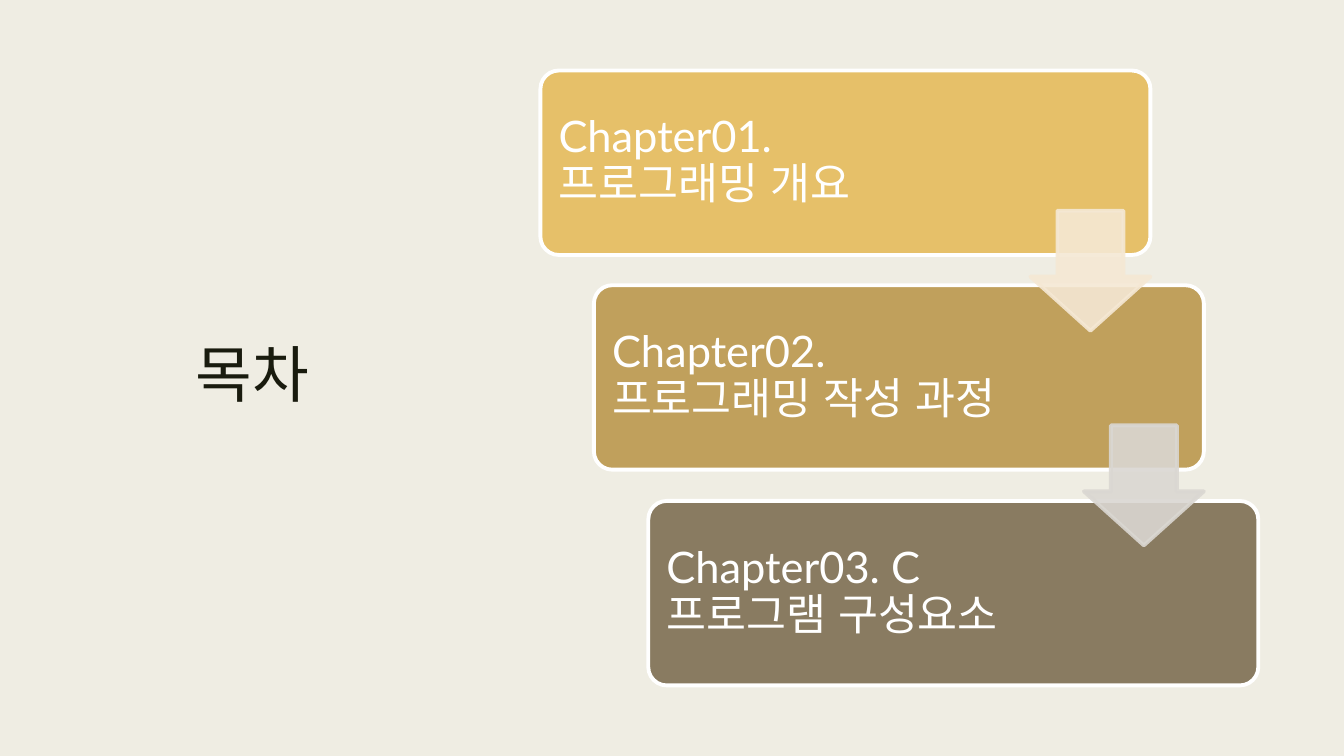
from dataclasses import dataclass

from lxml import etree
from pptx import Presentation
from pptx.dml.color import RGBColor
from pptx.enum.lang import MSO_LANGUAGE_ID
from pptx.enum.shapes import MSO_SHAPE
from pptx.enum.text import MSO_ANCHOR, PP_ALIGN
from pptx.oxml.ns import qn
from pptx.util import Pt

CARD = MSO_SHAPE.ROUNDED_RECTANGLE
ARROW = MSO_SHAPE.DOWN_ARROW
MIDDLE = MSO_ANCHOR.MIDDLE
LEFT, CENTER = PP_ALIGN.LEFT, PP_ALIGN.CENTER
KOREAN = MSO_LANGUAGE_ID.KOREAN
EMU_PER_PX = 9144
BLANK_LAYOUT = 6


@dataclass(frozen=True)
class Theme:
    """Colours, type sizes and font of the slide."""

    font: str = "Lato"
    background: str = "EFEDE3"
    ink: str = "191B0E"
    white: str = "FFFFFF"
    cards: tuple = ("E6C069", "C0A05C", "897B61")
    arrows: tuple = ("F5E8D4", "DAD7D2")
    title_size: int = 44
    chapter_size: int = 31
    outline: float = 2.75
    arrow_opacity: int = 90


def px(length):
    """Turn whole pixels into EMU."""
    return length * EMU_PER_PX


def set_opacity(fill, percent):
    """Make a solid fill partly transparent."""
    colour = fill._xPr.find(qn("a:solidFill"))[0]
    etree.SubElement(colour, qn("a:alpha")).set("val", str(percent * 1000))


def write_text(frame, text, *, font, size, colour, align=LEFT, spacing=0.9):
    """Put one formatted paragraph into a text frame."""
    paragraph = frame.paragraphs[0]
    paragraph.alignment = align
    paragraph.line_spacing = spacing
    run = paragraph.add_run()
    run.text = text
    run.font.name = font
    run.font.size = Pt(size)
    run.font.color.rgb = RGBColor.from_string(colour)
    run.font.language_id = KOREAN


class SlideBuilder:
    """Draws styled elements on the current slide."""

    def __init__(self, slide, theme):
        """Keep the slide and theme, and paint the background."""
        self.slide = slide
        self.theme = theme
        fill = slide.background.fill
        fill.solid()
        fill.fore_color.rgb = RGBColor.from_string(theme.background)

    def text(self, box, text, inset_x, inset_y, **text_format):
        """Add a wrapped, vertically centred text box."""
        shape = self.slide.shapes.add_textbox(*map(px, box))
        frame = shape.text_frame
        frame.word_wrap = True
        frame.vertical_anchor = MIDDLE
        frame.margin_left = frame.margin_right = px(inset_x)
        frame.margin_top = frame.margin_bottom = px(inset_y)
        write_text(frame, text, font=self.theme.font, **text_format)

    def shape(self, kind, box, adjustments, fill, line, opacity=100):
        """Add an outlined preset shape."""
        shape = self.slide.shapes.add_shape(kind, *map(px, box))
        shape.shadow.inherit = False
        for index, value in enumerate(adjustments):
            shape.adjustments[index] = value
        shape.line.width = Pt(self.theme.outline)
        for paint, colour in ((shape.fill, fill), (shape.line.fill, line)):
            paint.solid()
            paint.fore_color.rgb = RGBColor.from_string(colour)
            if opacity < 100:
                set_opacity(paint, opacity)

    def title(self, text):
        """Add the slide title."""
        self.text((70, 70, 361, 610), text, 10, 5, size=self.theme.title_size,
                  colour=self.theme.ink, align=CENTER, spacing=0.89)

    def card(self, left, top, text, text_width, fill):
        """Add a chapter card with its caption."""
        theme = self.theme
        self.shape(CARD, (left, top, 605, 183), (0.1,), fill, theme.white)
        self.text((left + 5, top + 5, text_width, 172), text, 13, 13,
                  size=theme.chapter_size, colour=theme.white)

    def arrow(self, left, top, colour):
        """Add a translucent arrow at the lower right of a card."""
        self.shape(ARROW, (left + 486, top + 139, 119, 119), (0.55, 0.45),
                   colour, colour, self.theme.arrow_opacity)


def main():
    """Build and save the contents slide."""
    theme = Theme()
    presentation = Presentation()
    presentation.slide_width, presentation.slide_height = px(1333), px(750)
    layout = presentation.slide_layouts[BLANK_LAYOUT]
    builder = SlideBuilder(presentation.slides.add_slide(layout), theme)

    builder.title("목차")
    chapters = (
        ("Chapter01. 프로그래밍 개요", 407),
        ("Chapter02. 프로그래밍 작성 과정", 422),
        ("Chapter03. C프로그램 구성요소", 422),
    )
    steps = [(536 + 107 * index // 2, 70 + 427 * index // 2)
             for index in range(len(chapters))]
    for step, chapter, colour in zip(steps, chapters, theme.cards):
        builder.card(*step, *chapter, colour)
    for step, colour in zip(steps, theme.arrows):
        builder.arrow(*step, colour)

    presentation.save("out.pptx")


if __name__ == "__main__":
    main()
